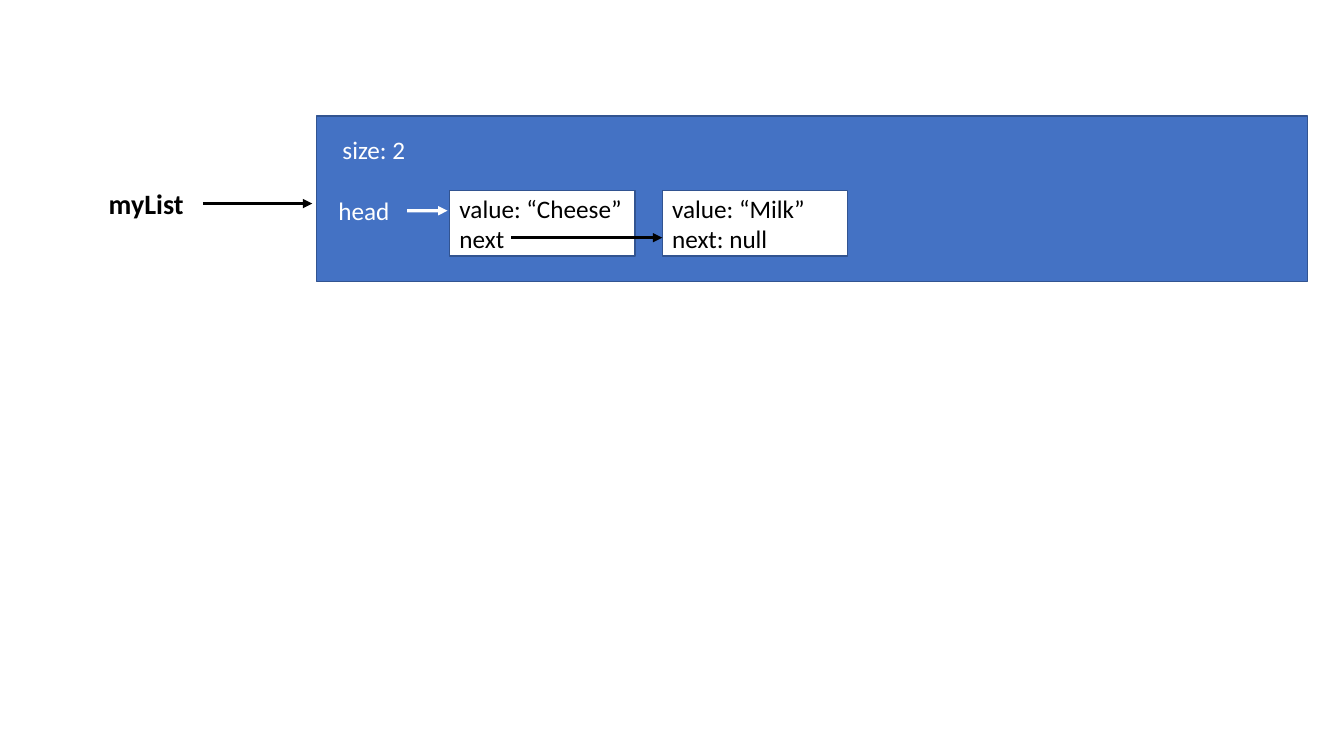
from lxml import etree
from pptx import Presentation
from pptx.dml.color import RGBColor
from pptx.enum.shapes import MSO_CONNECTOR, MSO_SHAPE
from pptx.enum.text import MSO_ANCHOR, MSO_AUTO_SIZE, PP_ALIGN
from pptx.oxml.ns import qn
from pptx.util import Cm, Pt

STRAIGHT = MSO_CONNECTOR.STRAIGHT
RECTANGLE = MSO_SHAPE.RECTANGLE
MIDDLE = MSO_ANCHOR.MIDDLE
FIT_SHAPE = MSO_AUTO_SIZE.SHAPE_TO_FIT_TEXT
LEFT = PP_ALIGN.LEFT
RIGHT_SIDE = 3

BLACK = RGBColor(0x00, 0x00, 0x00)
WHITE = RGBColor(0xFF, 0xFF, 0xFF)
BLUE = RGBColor(0x44, 0x72, 0xC4)
DARK_BLUE = RGBColor(0x32, 0x54, 0x91)

NODE_LEFT, NODE_TOP, NODE_PITCH = 11.33, 4.8, 5.36
NODE_WIDTH, NODE_HEIGHT = 4.67, 1.65


def write_lines(shape, lines, size, color, bold=False):
    frame = shape.text_frame
    for index, line in enumerate(lines):
        paragraph = frame.add_paragraph() if index else frame.paragraphs[0]
        paragraph.alignment = LEFT
        run = paragraph.add_run()
        run.text = line
        run.font.name = "Calibri"
        run.font.size = Pt(size)
        run.font.bold = bold
        run.font.color.rgb = color


presentation = Presentation()
presentation.slide_width = Cm(33.87)
presentation.slide_height = Cm(19.05)
slide = presentation.slides.add_slide(presentation.slide_layouts[6])

boxes = [(7.98, 2.92, 24.97, 4.17, BLUE, [])]
for index, lines in enumerate([["value: “Cheese”", "next"], ["value: “Milk”", "next: null"]]):
    boxes.append((NODE_LEFT + index * NODE_PITCH, NODE_TOP, NODE_WIDTH, NODE_HEIGHT, WHITE, lines))

for left, top, width, height, fill, lines in boxes:
    box = slide.shapes.add_shape(RECTANGLE, Cm(left), Cm(top), Cm(width), Cm(height))
    box.shadow.inherit = False
    box.fill.solid()
    box.fill.fore_color.rgb = fill
    box.line.color.rgb = DARK_BLUE
    box.line.width = Pt(1)
    box.text_frame.vertical_anchor = MIDDLE
    write_lines(box, lines, 18, BLACK)

labels = {}
for text, left, top, width, height, size, color, bold in [
    ("myList", 2.49, 4.57, 2.62, 1.12, 20, BLACK, True),
    ("size: 2", 8.38, 3.25, 2.11, 1.02, 18, WHITE, False),
    ("head", 8.28, 4.8, 1.98, 1.02, 18, WHITE, False),
]:
    label = slide.shapes.add_textbox(Cm(left), Cm(top), Cm(width), Cm(height))
    label.text_frame.word_wrap = False
    label.text_frame.auto_size = FIT_SHAPE
    write_lines(label, [text], size, color, bold)
    labels[text] = label

for source, start, end, y, color in [
    ("myList", 5.11, 7.87, 5.13, BLACK),
    ("head", 10.26, 11.28, 5.31, WHITE),
    (None, 12.88, NODE_LEFT + NODE_PITCH, 5.99, BLACK),
]:
    arrow = slide.shapes.add_connector(STRAIGHT, Cm(start), Cm(y), Cm(end), Cm(y))
    if source:
        arrow.begin_connect(labels[source], RIGHT_SIDE)
    arrow.line.color.rgb = color
    arrow.line.width = Pt(2.25)
    etree.SubElement(arrow.line._get_or_add_ln(), qn("a:tailEnd"), type="triangle")
    etree.SubElement(arrow._element.spPr, qn("a:effectLst"))

presentation.save("out.pptx")
